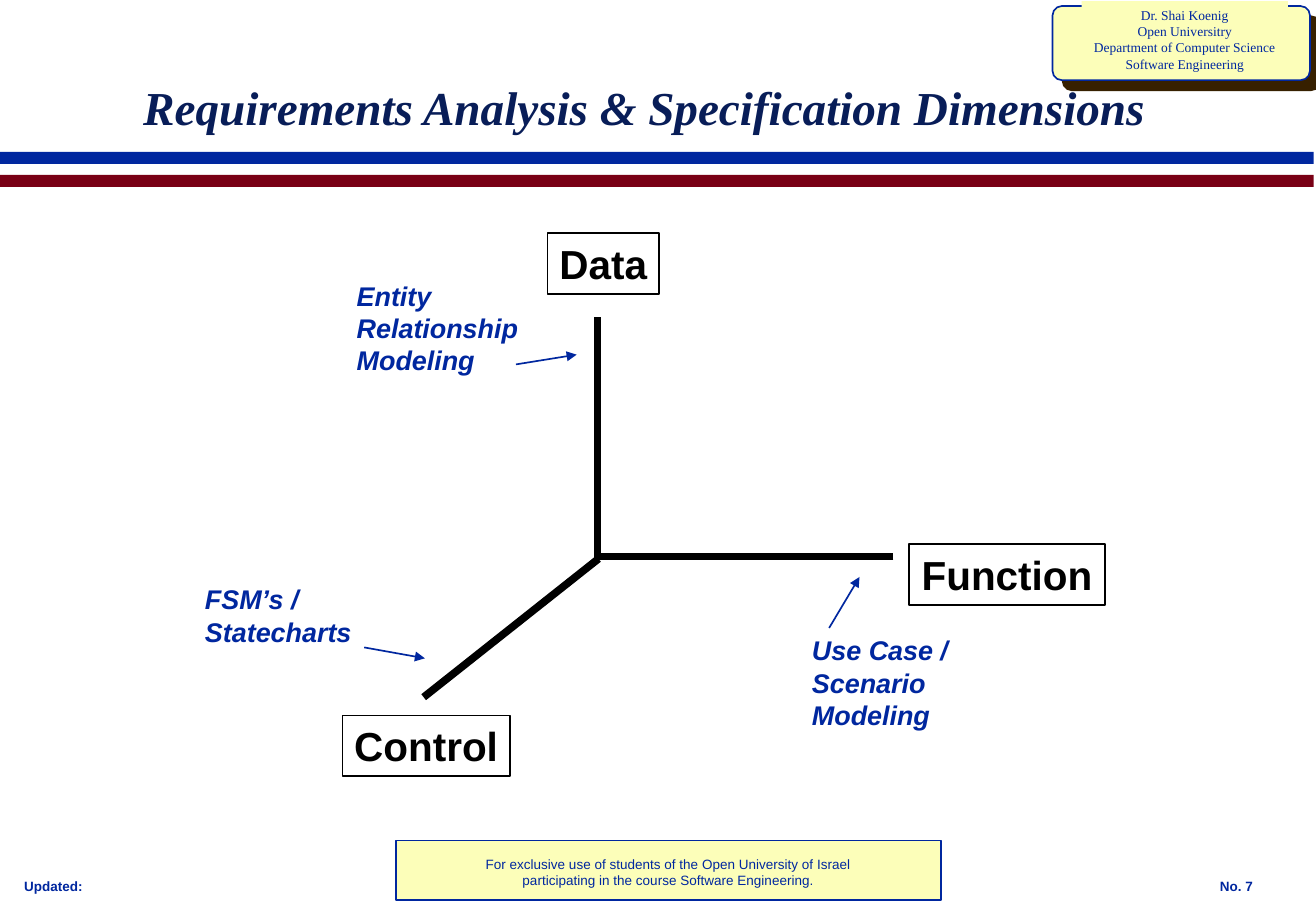
import pptx
import pptx.util
import pptx.dml.color
import pptx.enum.shapes
import pptx.enum.text
import pptx.oxml
import lxml.etree

Inches = pptx.util.Inches
Pt = pptx.util.Pt
SHAPE = pptx.enum.shapes.MSO_SHAPE
ALIGN = pptx.enum.text.PP_ALIGN
NS = 'xmlns:a="http://schemas.openxmlformats.org/drawingml/2006/main"'
BLUE, RED, CREAM, BLACK = "00279F", "790015", "FCFEB9", "000000"


def rgb(hex_string):
    return pptx.dml.color.RGBColor.from_string(hex_string)


def write(shape, text, size, color, font="Arial", bold=False, italic=False, align=ALIGN.LEFT):
    frame = shape.text_frame
    frame.text = text
    frame.auto_size = pptx.enum.text.MSO_AUTO_SIZE.NONE
    frame.word_wrap = align == ALIGN.LEFT
    frame.vertical_anchor = pptx.enum.text.MSO_ANCHOR.TOP
    for paragraph in frame.paragraphs:
        paragraph.alignment = align
        for run in paragraph.runs:
            run.font.name = font
            run.font.size = Pt(size)
            run.font.bold = bold
            run.font.italic = italic
            run.font.color.rgb = rgb(color)


deck = pptx.Presentation()
deck.slide_width = Inches(10.84)
deck.slide_height = Inches(7.5)
slide = deck.slides.add_slide(deck.slide_layouts[5])
shapes = slide.shapes

# Title
title = shapes.title
title.left, title.top, title.width, title.height = map(Inches, (1.08, 0.5, 8.5, 0.75))
write(title, "Requirements Analysis & Specification Dimensions", 28, "081D58",
      font="Times New Roman", bold=True, italic=True)
title.text_frame.vertical_anchor = pptx.enum.text.MSO_ANCHOR.MIDDLE

# Panels: footer frame, two title bars, header card and its text panel
panels = []
for kind, box, fill, outline in (
    (SHAPE.RECTANGLE, (3.26, 6.92, 4.49, 0.49), CREAM, BLUE),
    (SHAPE.RECTANGLE, (0, 1.25, 10.82, 0.1), BLUE, None),
    (SHAPE.RECTANGLE, (0, 1.44, 10.82, 0.1), RED, None),
    (SHAPE.ROUNDED_RECTANGLE, (8.67, 0.05, 2.12, 0.61), CREAM, BLUE),
    (SHAPE.RECTANGLE, (8.91, 0.01, 1.7, 0.63), CREAM, None),
):
    panel = shapes.add_shape(kind, *map(Inches, box))
    panel.shadow.inherit = False
    panel.fill.solid()
    panel.fill.fore_color.rgb = rgb(fill)
    if outline:
        panel.line.color.rgb = rgb(outline)
        panel.line.width = Pt(1)
    else:
        panel.line.fill.background()
    panels.append(panel)

# Hard brown shadow under the header card
header_card, header_text = panels[-2:]
header_card.adjustments[0] = 0.125
header_card.element.spPr.find(pptx.oxml.ns.qn("a:effectLst")).append(pptx.oxml.parse_xml(
    f'<a:outerShdw {NS} blurRad="0" dist="{Pt(8.5)}" dir="2700000" algn="ctr" rotWithShape="0">'
    '<a:srgbClr val="372000"/></a:outerShdw>'))
write(header_text,
      "Dr. Shai Koenig\nOpen Universitry\nDepartment of Computer Science\nSoftware Engineering",
      8, BLUE, font="Times New Roman", align=ALIGN.CENTER)

# Footer texts
for box, text, bold, align in (
    ((0.1, 7.18, 1.15, 0.23), "Updated:", True, ALIGN.LEFT),
    ((9.95, 7.18, 0.89, 0.23), "No. 7", True, ALIGN.LEFT),
    ((3.33, 7, 4.35, 0.37),
     "For exclusive use of students of the Open University of Israel\n"
     "participating in the course Software Engineering.", False, ALIGN.CENTER),
):
    write(shapes.add_textbox(*map(Inches, box)), text, 8, BLUE, bold=bold, align=align)

# Three dimension axes, and the arrows pointing at them
for ends, color, width, arrow in (
    ((4.92, 2.61, 4.92, 4.56), BLACK, 4, False),
    ((7.36, 4.58, 4.89, 4.58), BLACK, 4, False),
    ((4.93, 4.6, 3.49, 5.74), BLACK, 4.5, False),
    ((4.25, 3, 4.75, 2.92), BLUE, 1, True),
    ((6.83, 5.17, 7.08, 4.75), BLUE, 1, True),
    ((3, 5.33, 3.5, 5.42), BLUE, 1, True),
):
    line = shapes.add_connector(pptx.enum.shapes.MSO_CONNECTOR.STRAIGHT, *map(Inches, ends))
    line.line.color.rgb = rgb(color)
    line.line.width = Pt(width)
    if arrow:
        line.line._get_or_add_ln().append(pptx.oxml.parse_xml(f'<a:tailEnd {NS} type="triangle"/>'))
    lxml.etree.SubElement(line.element.spPr, pptx.oxml.ns.qn("a:effectLst"))

# Framed dimension names
for name, left, top, width in (
    ("Function", 7.49, 4.48, 1.61),
    ("Data", 4.51, 1.92, 0.92),
    ("Control", 2.82, 5.89, 1.38),
):
    dimension = shapes.add_shape(SHAPE.RECTANGLE, *map(Inches, (left, top, width, 0.5)))
    dimension.shadow.inherit = False
    dimension.fill.background()
    dimension.line.color.rgb = rgb(BLACK)
    dimension.line.width = Pt(1)
    write(dimension, name, 24, BLACK, bold=True, align=ALIGN.CENTER)

# Modeling techniques
for technique, box in (
    ("Entity\nRelationship\nModeling", (2.84, 2.25, 1.59, 0.9)),
    ("Use Case /\nScenario\nModeling", (6.59, 5.17, 1.38, 0.9)),
    ("FSM’s /\nStatecharts", (1.59, 4.75, 1.41, 0.64)),
):
    write(shapes.add_textbox(*map(Inches, box)), technique, 16, BLUE, bold=True, italic=True)

deck.save("out.pptx")
